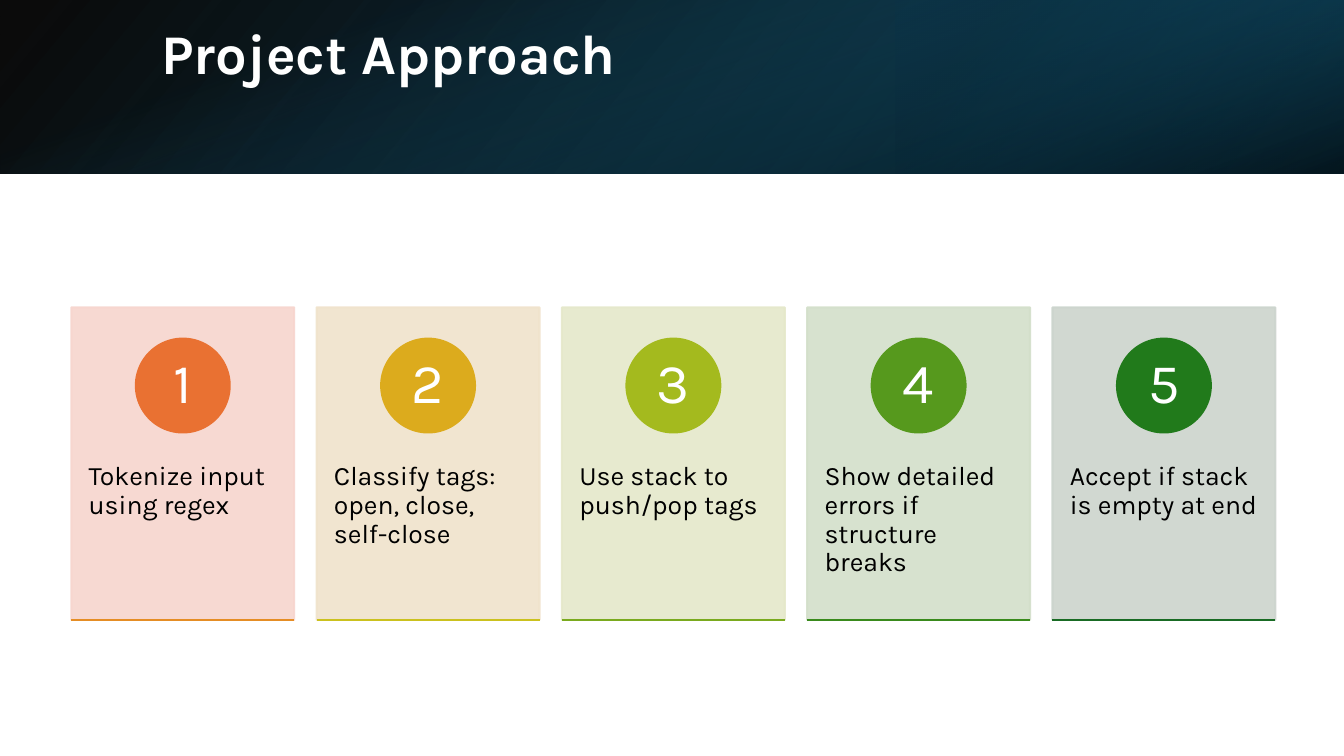
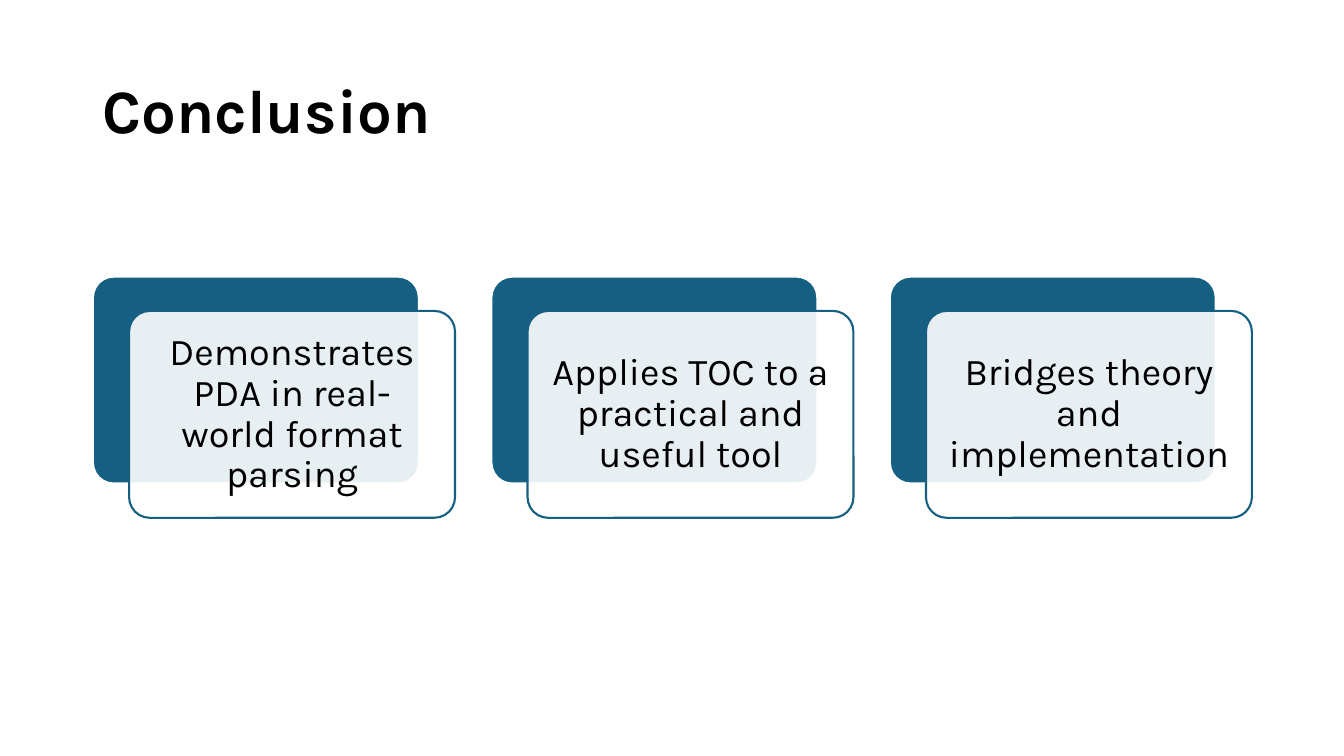
import dataclasses

import lxml.etree
import pptx
import pptx.dml.color
import pptx.enum.shapes
import pptx.enum.text
import pptx.oxml.ns
import pptx.util

Pt = pptx.util.Pt
SHAPE = pptx.enum.shapes.MSO_SHAPE
ALIGN = pptx.enum.text.PP_ALIGN
ANCHOR = pptx.enum.text.MSO_ANCHOR


@dataclasses.dataclass(frozen=True)
class Theme:
    font: str = "Karla"
    dark: str = "000000"
    light: str = "FFFFFF"
    accent: str = "156082"
    deep: str = "0B3041"
    ocean: str = "104862"
    band_title: int = 40
    plain_title: int = 44
    number: int = 40
    step: int = 19
    point: int = 27
    line: float = 1.5
    spacing: float = 0.9
    card_alpha: int = 90


THEME = Theme()

BAND_HEIGHT = 124
BANDS = [
    ((0, 0, 960, BAND_HEIGHT), 0, True, 140,
     [(0, THEME.dark, 96), (100, THEME.ocean, 100)]),
    ((640, 0, 320, BAND_HEIGHT), 180, True, 320,
     [(19, THEME.deep, 68), (100, THEME.accent, 79)]),
    ((418, -418, BAND_HEIGHT, 960), 90, False, 340,
     [(23, THEME.accent, 0), (99, THEME.dark, 74)]),
]

STEPS = [
    ("Tokenize input using regex", "F7D5CE", "E97132", "E58D25"),
    ("Classify tags: open, close, self-close", "F0E3CB", "DCAB1D", "CBC11E"),
    ("Use stack to push/pop tags", "E5E8CA", "A4BA1E", "7AAA1E"),
    ("Show detailed errors if structure breaks", "D3DFCA", "56991D", "398A1C"),
    ("Accept if stack is empty at end", "CCD4CD", "217A1B", "196B24"),
]

POINTS = [
    "Demonstrates PDA in real-world format parsing",
    "Applies TOC to a practical and useful tool",
    "Bridges theory and implementation",
]


def rgb(value):
    return pptx.dml.color.RGBColor.from_string(value)


def set_alpha(shape, percents):
    colors = shape._element.spPr.iter(pptx.oxml.ns.qn("a:srgbClr"))
    for color, percent in zip(colors, percents):
        alpha = lxml.etree.SubElement(color, pptx.oxml.ns.qn("a:alpha"))
        alpha.set("val", str(percent * 1000))


def write(frame, text, size, color, align=ALIGN.LEFT, anchor=ANCHOR.MIDDLE,
          insets=(7.2, 3.6, 7.2, 3.6), bold=False):
    frame.word_wrap = True
    frame.auto_size = pptx.enum.text.MSO_AUTO_SIZE.NONE
    frame.vertical_anchor = anchor
    (frame.margin_left, frame.margin_top,
     frame.margin_right, frame.margin_bottom) = map(Pt, insets)
    para = frame.paragraphs[0]
    para.alignment = align
    para.line_spacing = THEME.spacing
    span = para.add_run()
    span.text = text
    span.font.name = THEME.font
    span.font.size = Pt(size)
    span.font.bold = bold
    span.font.color.rgb = rgb(color)


def add_title(page, text, place, size, color, **options):
    title = page.shapes.title
    title.left, title.top, title.width, title.height = map(Pt, place)
    write(title.text_frame, text, size, color, bold=True, **options)


def add_box(page, kind, place, fill, line):
    box = page.shapes.add_shape(kind, *map(Pt, place))
    box.shadow.inherit = False
    box.fill.solid()
    box.fill.fore_color.rgb = rgb(fill)
    box.line.color.rgb = rgb(line)
    box.line.width = Pt(THEME.line)
    if kind == SHAPE.ROUNDED_RECTANGLE:
        box.adjustments[0] = 0.1
    return box


def add_band(page, place, rotation, flipped, angle, stops):
    band = page.shapes.add_shape(SHAPE.RECTANGLE, *map(Pt, place))
    band.shadow.inherit = False
    band.line.fill.background()
    band.rotation = rotation
    if flipped:
        band._element.spPr.xfrm.set("flipH", "1")
    band.fill.gradient()
    band.fill.gradient_angle = 360 - angle
    for target, (position, color, _) in zip(band.fill.gradient_stops, stops):
        target.position = position / 100
        target.color.rgb = rgb(color)
    set_alpha(band, [alpha for _, _, alpha in stops])


def add_rule(page, left, top, width, color):
    rule = page.shapes.add_connector(
        pptx.enum.shapes.MSO_CONNECTOR.STRAIGHT,
        Pt(left), Pt(top), Pt(left + width), Pt(top))
    rule.line.color.rgb = rgb(color)
    rule.line.width = Pt(THEME.line)
    lxml.etree.SubElement(rule._element.spPr, pptx.oxml.ns.qn("a:effectLst"))


def add_step(page, index, text, tint, disc_color, rule_color):
    left, top, width, height = 51 + index * 175.2, 219.6, 159.2, 223.2
    disc_size = 67
    card = add_box(page, SHAPE.RECTANGLE, (left, top, width, height), tint, tint)
    set_alpha(card, [THEME.card_alpha] * 2)
    write(card.text_frame, text, THEME.step, THEME.dark,
          anchor=ANCHOR.TOP, insets=(12.4, 111, 12.4, 26))
    disc_place = (left + (width - disc_size) / 2, top + 22.3, disc_size, disc_size)
    disc = add_box(page, SHAPE.OVAL, disc_place, disc_color, disc_color)
    write(disc.text_frame, str(index + 1), THEME.number, THEME.light,
          align=ALIGN.CENTER, insets=(5, 1, 5, 1))
    add_rule(page, left, top + height, width, rule_color)


def add_point(page, index, text):
    left, top, width, height = 66.4 + index * 284.6, 197.6, 232.8, 147.8
    add_box(page, SHAPE.ROUNDED_RECTANGLE, (left, top, width, height),
            THEME.accent, THEME.light)
    front = add_box(page, SHAPE.ROUNDED_RECTANGLE,
                    (left + 25.8, top + 24.5, width, height),
                    THEME.light, THEME.accent)
    set_alpha(front, [THEME.card_alpha])
    write(front.text_frame, text, THEME.point, THEME.dark,
          align=ALIGN.CENTER, insets=(8, 8, 8, 8))


def build_approach(page):
    for band in BANDS:
        add_band(page, *band)
    title = page.shapes.title._element
    title.getparent().append(title)
    add_title(page, "Project Approach", (108, 27, 790.6, 69),
              THEME.band_title, THEME.light, insets=(7.2, 3.6, 7.2, 45.6))
    for index, step in enumerate(STEPS):
        add_step(page, index, *step)


def build_conclusion(page):
    add_title(page, "Conclusion", (66, 28.8, 828, 104.4),
              THEME.plain_title, THEME.dark)
    for index, point in enumerate(POINTS):
        add_point(page, index, point)


def main():
    deck = pptx.Presentation()
    deck.slide_width, deck.slide_height = Pt(960), Pt(540)
    title_only = deck.slide_layouts[5]
    for build in (build_approach, build_conclusion):
        build(deck.slides.add_slide(title_only))
    deck.save("out.pptx")


if __name__ == "__main__":
    main()
